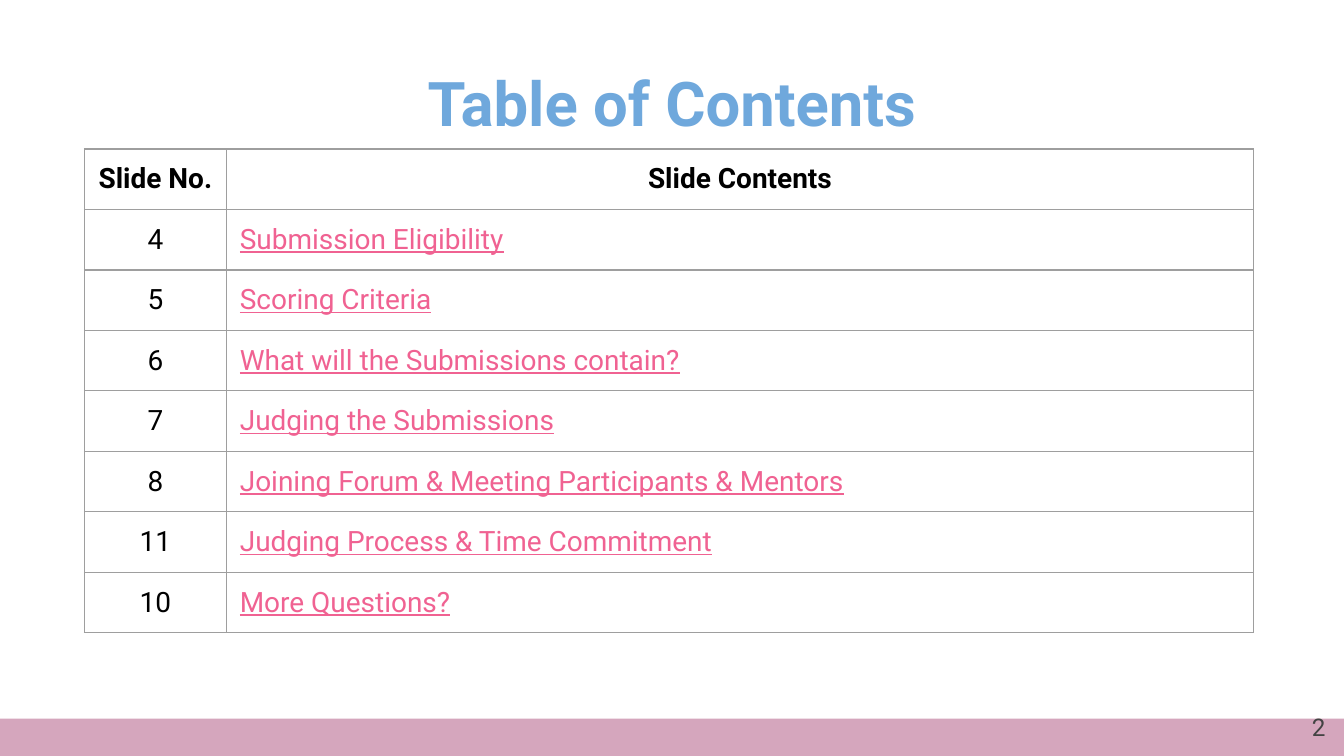
"""Build a table of contents slide with a ruled table and a footer band."""
import pptx
import pptx.dml.color
import pptx.enum.shapes
import pptx.enum.text
import pptx.oxml
import pptx.oxml.ns
import pptx.util

Pt = pptx.util.Pt
RGB = pptx.dml.color.RGBColor
ALIGN = pptx.enum.text.PP_ALIGN
MIDDLE = pptx.enum.text.MSO_ANCHOR.MIDDLE

TITLE = "Table of Contents"
PAGE_NUMBER = "2"
HEADER = ("Slide No.", "Slide Contents")
ENTRIES = [
    ("4", "Submission Eligibility"),
    ("5", "Scoring Criteria"),
    ("6", "What will the Submissions contain?"),
    ("7", "Judging the Submissions"),
    ("8", "Joining Forum & Meeting Participants & Mentors"),
    ("11", "Judging Process & Time Commitment"),
    ("10", "More Questions?"),
]

BLUE = RGB(0x6F, 0xA8, 0xDC)
PINK = RGB(0xF0, 0x62, 0x92)
BAND = RGB(0xD5, 0xA6, 0xBD)
BLACK = RGB(0, 0, 0)
GREY = RGB(0x43, 0x43, 0x43)
RULE = RGB(0x9E, 0x9E, 0x9E)

WIDTH, HEIGHT = 720, 405
BAND_HEIGHT = 20
INSET = 7.2
ROW_HEIGHT = 32.4
COLUMNS = (76.1, 550.3)

TITLE_FONT = {"size": Pt(33), "bold": True}
HEADER_FONT = {"size": Pt(15), "bold": True}
NUMBER_FONT = {"size": Pt(15), "bold": False}
ENTRY_FONT = {"size": Pt(15), "bold": False, "underline": True}
PAGE_FONT = {"size": Pt(13)}


def write(tf, text, font, color, align):
    p = tf.paragraphs[0]
    p.alignment = align
    r = p.add_run()
    r.text = text
    for name, value in {"name": "Roboto", **font}.items():
        setattr(r.font, name, value)
    r.font.color.rgb = color


def format_frame(tf):
    tf.word_wrap = True
    tf.vertical_anchor = MIDDLE
    for side in ("left", "top", "right", "bottom"):
        setattr(tf, f"margin_{side}", Pt(INSET))


def rule_cell(cell):
    tcPr = cell._tc.get_or_add_tcPr()
    for i, side in enumerate(("lnL", "lnR", "lnT", "lnB")):
        tcPr.insert(i, pptx.oxml.parse_xml(
            f'<a:{side} {pptx.oxml.ns.nsdecls("a")} w="{Pt(0.75)}">'
            f'<a:solidFill><a:srgbClr val="{RULE}"/></a:solidFill></a:{side}>'))


def fill_cell(cell, text, font, color, align):
    cell.fill.background()
    cell.vertical_anchor = MIDDLE
    for side in ("left", "top", "right", "bottom"):
        setattr(cell, f"margin_{side}", Pt(INSET))
    write(cell.text_frame, text, font, color, align)
    rule_cell(cell)


prs = pptx.Presentation()
prs.slide_width, prs.slide_height = Pt(WIDTH), Pt(HEIGHT)
s = prs.slides.add_slide(prs.slide_layouts[5])

title = s.shapes.title
title.left, title.top, title.width, title.height = Pt(165.6), Pt(27.4), Pt(388.8), Pt(54.7)
format_frame(title.text_frame)
write(title.text_frame, TITLE, TITLE_FONT, BLUE, ALIGN.CENTER)

band = s.shapes.add_shape(pptx.enum.shapes.MSO_SHAPE.RECTANGLE,
                          0, Pt(HEIGHT - BAND_HEIGHT), Pt(WIDTH), Pt(BAND_HEIGHT))
band.shadow.inherit = False
band.fill.solid()
band.fill.fore_color.rgb = BAND
band.line.fill.background()

rows = len(ENTRIES) + 1
frame = s.shapes.add_table(rows, len(COLUMNS), Pt(45.2), Pt(79.8),
                           Pt(sum(COLUMNS)), Pt(rows * ROW_HEIGHT))
table = frame.table
table.first_row = table.horz_banding = False
for column, width in zip(table.columns, COLUMNS):
    column.width = Pt(width)
for row in table.rows:
    row.height = Pt(ROW_HEIGHT)
for i, text in enumerate(HEADER):
    fill_cell(table.cell(0, i), text, HEADER_FONT, BLACK, ALIGN.CENTER)
for i, (number, entry) in enumerate(ENTRIES, 1):
    fill_cell(table.cell(i, 0), number, NUMBER_FONT, BLACK, ALIGN.CENTER)
    fill_cell(table.cell(i, 1), entry, ENTRY_FONT, PINK, ALIGN.LEFT)

page = s.shapes.add_textbox(Pt(673.9), Pt(373.7), Pt(43.2), Pt(31))
format_frame(page.text_frame)
write(page.text_frame, PAGE_NUMBER, PAGE_FONT, GREY, ALIGN.RIGHT)

prs.save("out.pptx")
